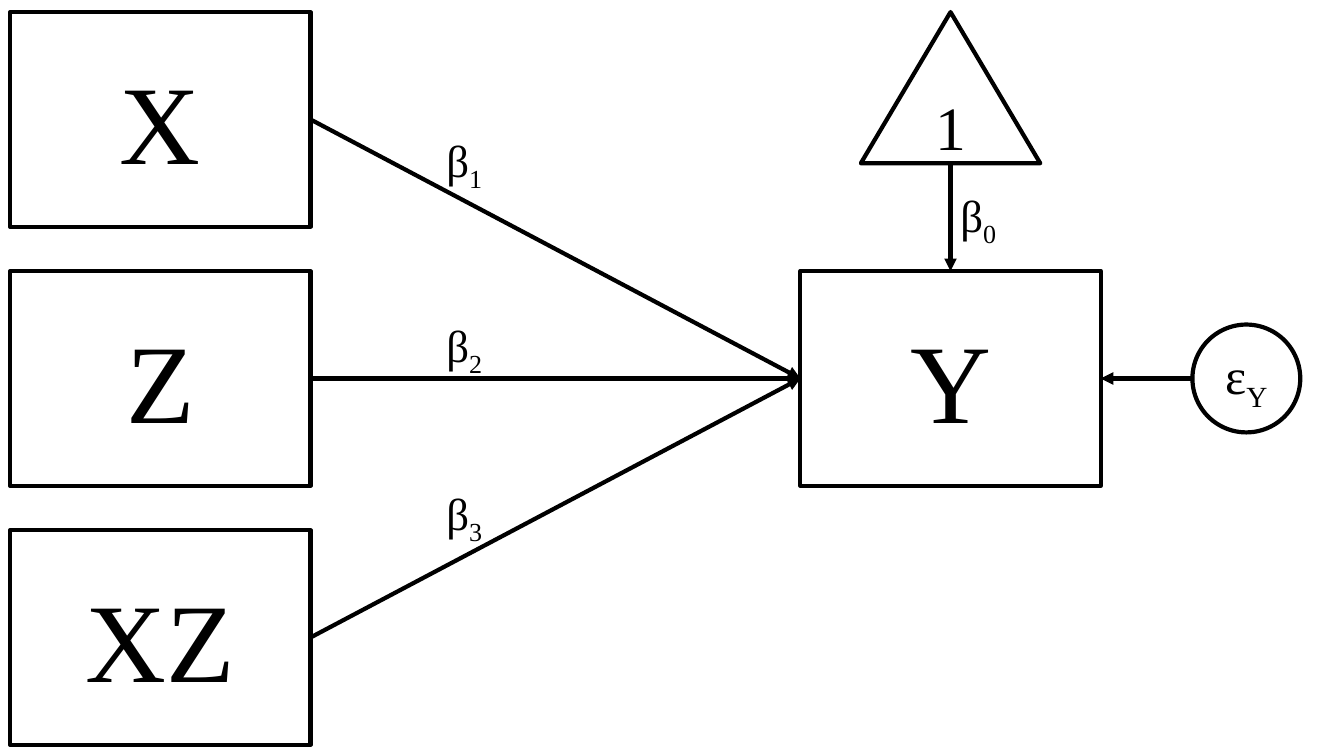
from lxml.etree import SubElement
from pptx import Presentation
from pptx.dml.color import RGBColor
from pptx.enum.shapes import MSO_CONNECTOR as Connector, MSO_SHAPE as Shape
from pptx.enum.text import MSO_ANCHOR as Anchor, MSO_AUTO_SIZE as AutoSize, PP_ALIGN as Align
from pptx.oxml.ns import qn
from pptx.util import Pt

COLORS = {"ink": "000000", "paper": "FFFFFF"}
FONT = "Times New Roman"
LINE_WIDTH = 3
BOX_WIDTH, BOX_HEIGHT = 214.56, 153.36
LEFT, TOP, ROW_STEP = 7.2, 8.64, 185.04
OUTCOME_LEFT = 571.68
OUTCOME_TOP = TOP + ROW_STEP
OUTCOME_CENTER = OUTCOME_LEFT + BOX_WIDTH / 2
MIDDLE = OUTCOME_TOP + BOX_HEIGHT / 2
TRIANGLE_WIDTH, TRIANGLE_HEIGHT = 128.16, 108
ERROR_LEFT, ERROR_SIZE = 851.76, 77.04
TOP_SITE, LEFT_SITE, RIGHT_SITE = 0, 1, 3


def color(name):
    return RGBColor.from_string(COLORS[name])


def add_run(para, text, size, subscript=False):
    run = para.add_run()
    run.text = text
    run.font.name = FONT
    run.font.size = Pt(size)
    run.font.color.rgb = color("ink")
    if subscript:
        run.font._element.set("baseline", "-25000")


def write_symbol(para, symbol, index, size):
    add_run(para, symbol, size)
    if index:
        add_run(para, index, size, subscript=True)


def add_node(page, kind, left, top, width, height, symbol, size, index=""):
    node = page.shapes.add_shape(kind, Pt(left), Pt(top), Pt(width), Pt(height))
    node.shadow.inherit = False
    node.fill.solid()
    node.fill.fore_color.rgb = color("paper")
    node.line.color.rgb = color("ink")
    node.line.width = Pt(LINE_WIDTH)
    node.text_frame.vertical_anchor = Anchor.MIDDLE
    para = node.text_frame.paragraphs[0]
    para.alignment = Align.CENTER
    write_symbol(para, symbol, index, size)
    return node


def add_variable(page, left, top, name):
    return add_node(page, Shape.RECTANGLE, left, top, BOX_WIDTH, BOX_HEIGHT, name, 80)


def add_arrow(page, start_x, start_y, target, site):
    arrow = page.shapes.add_connector(
        Connector.STRAIGHT, Pt(start_x), Pt(start_y), Pt(start_x), Pt(start_y))
    arrow.end_connect(target, site)
    arrow.line.color.rgb = color("ink")
    arrow.line.width = Pt(LINE_WIDTH)
    SubElement(arrow.line._get_or_add_ln(), qn("a:tailEnd"), type="triangle")
    SubElement(arrow._element.spPr, qn("a:effectLst"))
    return arrow


def add_coefficient(page, left, top, index):
    box = page.shapes.add_textbox(Pt(left), Pt(top), Pt(43.2), Pt(46.08))
    box.text_frame.word_wrap = True
    box.text_frame.auto_size = AutoSize.SHAPE_TO_FIT_TEXT
    write_symbol(box.text_frame.paragraphs[0], "β", index, 32)


def main():
    deck = Presentation()
    deck.slide_width, deck.slide_height = Pt(960), Pt(540)
    page = deck.slides.add_slide(deck.slide_layouts[6])

    outcome = add_variable(page, OUTCOME_LEFT, OUTCOME_TOP, "Y")
    predictors = [("X", "1", 91.44), ("Z", "2", 223.2), ("XZ", "3", 343.44)]
    for row, (name, index, label_top) in enumerate(predictors):
        top = TOP + row * ROW_STEP
        predictor = add_variable(page, LEFT, top, name)
        arrow = add_arrow(page, LEFT + BOX_WIDTH, top + BOX_HEIGHT / 2, outcome, LEFT_SITE)
        arrow.begin_connect(predictor, RIGHT_SITE)
        add_coefficient(page, 311.76, label_top, index)

    add_node(page, Shape.OVAL, ERROR_LEFT, MIDDLE - ERROR_SIZE / 2,
             ERROR_SIZE, ERROR_SIZE, "ε", 36, "Y")
    add_arrow(page, ERROR_LEFT, MIDDLE, outcome, RIGHT_SITE)

    add_node(page, Shape.ISOSCELES_TRIANGLE, OUTCOME_CENTER - TRIANGLE_WIDTH / 2, TOP,
             TRIANGLE_WIDTH, TRIANGLE_HEIGHT, "1", 44)
    add_arrow(page, OUTCOME_CENTER, TOP + TRIANGLE_HEIGHT, outcome, TOP_SITE)
    add_coefficient(page, OUTCOME_CENTER, 130.32, "0")

    deck.save("out.pptx")


if __name__ == "__main__":
    main()
